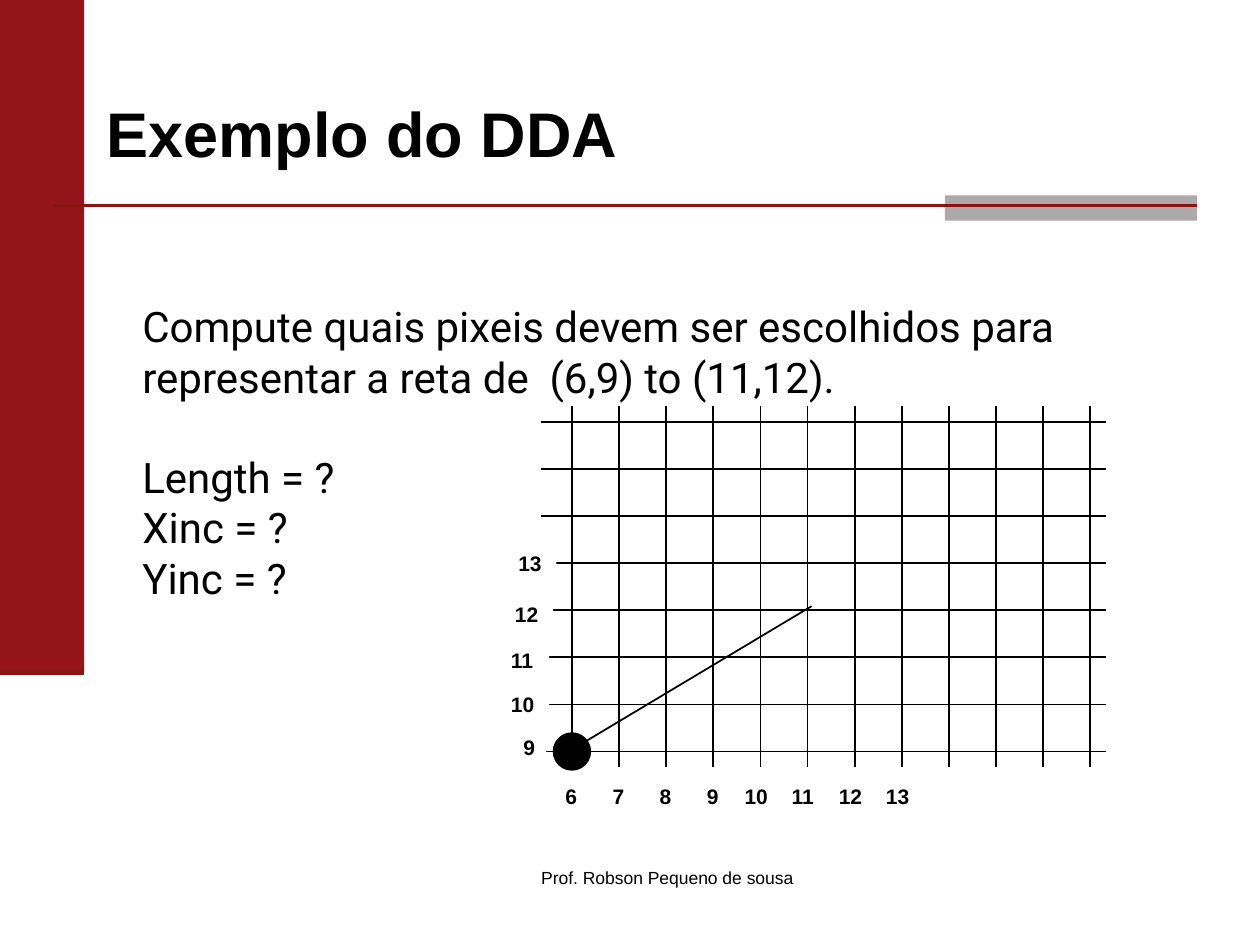
from pptx import Presentation
from pptx.dml.color import RGBColor as Rgb
from pptx.enum.shapes import MSO_CONNECTOR as Conn, MSO_SHAPE as Kind
from pptx.enum.text import MSO_ANCHOR as Anchor, PP_ALIGN as Align
from pptx.oxml.ns import qn
from pptx.util import Cm, Pt
from lxml.etree import SubElement

HUES = {"red": "94141A", "rule": "891411", "gray": "ADA9AB",
        "ink": "000000", "white": "FFFFFF"}


def hue(name):
    return Rgb.from_string(HUES[name])


def add_line(slide, x1, y1, x2, y2, tone="ink", size=1):
    line = slide.shapes.add_connector(
        Conn.STRAIGHT, Cm(x1), Cm(y1), Cm(x2), Cm(y2))
    line.line.color.rgb = hue(tone)
    line.line.width = Pt(size)
    SubElement(line._element.spPr, qn("a:effectLst"))


def add_form(slide, kind, box, tone):
    form = slide.shapes.add_shape(kind, *map(Cm, box))
    form.shadow.inherit = False
    form.fill.solid()
    form.fill.fore_color.rgb = hue(tone)
    form.line.fill.background()
    return form


def add_run(para, text, size, face="Arial", bold=False):
    run = para.add_run()
    run.text = text
    run.font.size = Pt(size)
    run.font.name = face
    run.font.bold = bold
    run.font.color.rgb = hue("ink")


def add_frame(slide, box):
    frame = slide.shapes.add_textbox(*map(Cm, box)).text_frame
    frame.word_wrap = True
    return frame


def add_decor(slide, box):
    left, top, width, height = box
    side, foot, rule = 1.7, 13.54, 4.14
    end = left + width - 1.27
    add_form(slide, Kind.RECTANGLE, (left, top, side, foot), "red")
    add_form(slide, Kind.RECTANGLE, (end - 5.08, top + 3.94, 5.08, 0.51), "gray")
    add_line(slide, left + 1.07, top + rule, end, top + rule, "rule", 1.5)
    add_line(slide, left, top + foot, left + side, top + foot, "rule", 3.5)


def add_title(slide, box):
    frame = add_frame(slide, box)
    frame.vertical_anchor = Anchor.MIDDLE
    para = frame.paragraphs[0]
    para.alignment = Align.JUSTIFY
    add_run(para, "Exemplo do DDA", 36, bold=True)


def add_body(slide, box):
    frame = add_frame(slide, box)
    rows = [
        ("Compute quais pixeis devem ser escolhidos para "
         "representar a reta de  (6,9) to (11,12).", 0),
        ("Length = ?", 28.5),
        ("Xinc = ?", 0),
        ("Yinc = ?", 0),
    ]
    for i, (text, gap) in enumerate(rows):
        para = frame.add_paragraph() if i else frame.paragraphs[0]
        para.space_before = Pt(gap)
        add_run(para, text, 24, "Roboto")


def add_label(slide, x, y, num):
    wide = 0.91 if num > 9 else 0.6
    form = add_form(slide, Kind.RECTANGLE, (x, y, wide, 0.56), "white")
    frame = form.text_frame
    frame.word_wrap = False
    frame.vertical_anchor = Anchor.TOP
    frame.margin_left, frame.margin_top = Cm(0.14), Cm(0.03)
    frame.margin_right = frame.margin_bottom = 0
    para = frame.paragraphs[0]
    para.alignment = Align.LEFT
    add_run(para, str(num), 12, bold=True)


def add_grid(slide, box):
    left, top, width, height = box
    step, rows, cols = 0.95, 8, 12
    x0, y0 = left + 0.63, top + 0.32
    base = y0 + step * (rows - 1)
    for i in range(rows):
        y = y0 + step * i
        add_line(slide, left, y, left + width, y)
    for i in range(cols):
        x = x0 + step * i
        add_line(slide, x, top, x, top + height)
    for num in range(6, 14):
        shift = 0.46 if num > 9 else 0.27
        add_label(slide, x0 + step * (num - 6) - shift, top + height + 0.3, num)
    spots = [(-0.49, 6.6), (-0.74, 5.74), (-0.74, 4.85),
             (-0.66, 3.91), (-0.59, 2.89)]
    for num, (dx, dy) in enumerate(spots, 9):
        add_label(slide, left + dx, top + dy, num)
    size = 0.74
    dot = add_form(slide, Kind.OVAL,
                   (x0 - size / 2, base - size / 2, size, size), "ink")
    dot.line.color.rgb = hue("ink")
    dot.line.width = Pt(1)
    add_line(slide, x0, base - 0.04, x0 + step * 5 + 0.08, base - step * 3 - 0.08)


def add_foot(slide, box):
    para = add_frame(slide, box).paragraphs[0]
    para.alignment = Align.CENTER
    add_run(para, "Prof. Robson Pequeno de sousa", 10)


def main():
    deck = Presentation()
    deck.slide_width, deck.slide_height = Cm(25.4), Cm(19.05)
    slide = deck.slides.add_slide(deck.slide_layouts[6])
    add_decor(slide, (0, 0, 25.4, 19.05))
    add_foot(slide, (9.32, 17.35, 8.26, 1.27))
    add_body(slide, (2.62, 5.94, 20.32, 12.06))
    add_grid(slide, (10.9, 8.18, 11.4, 7.29))
    add_title(slide, (1.9, 1.47, 22.23, 2.41))
    deck.save("out.pptx")


if __name__ == "__main__":
    main()
